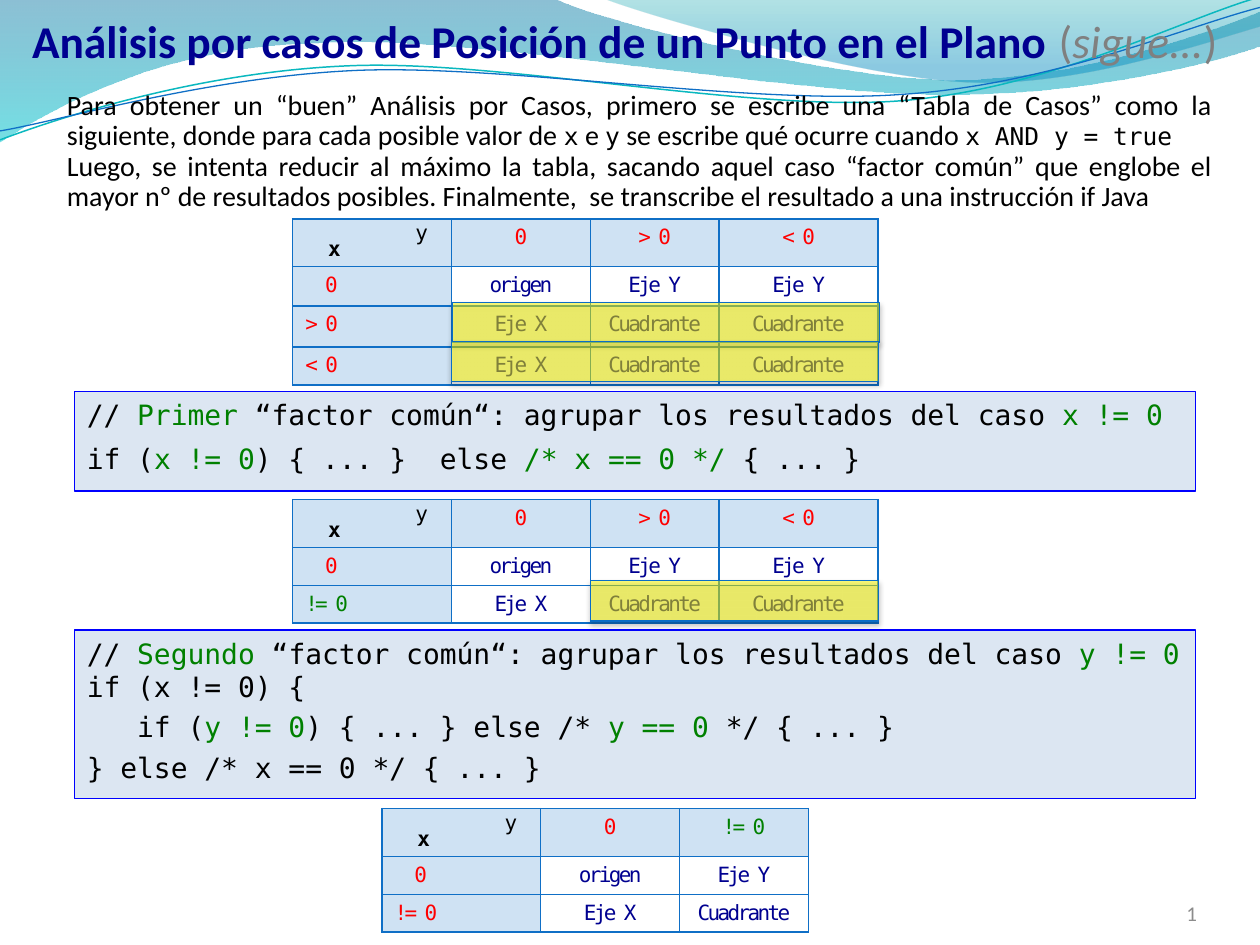
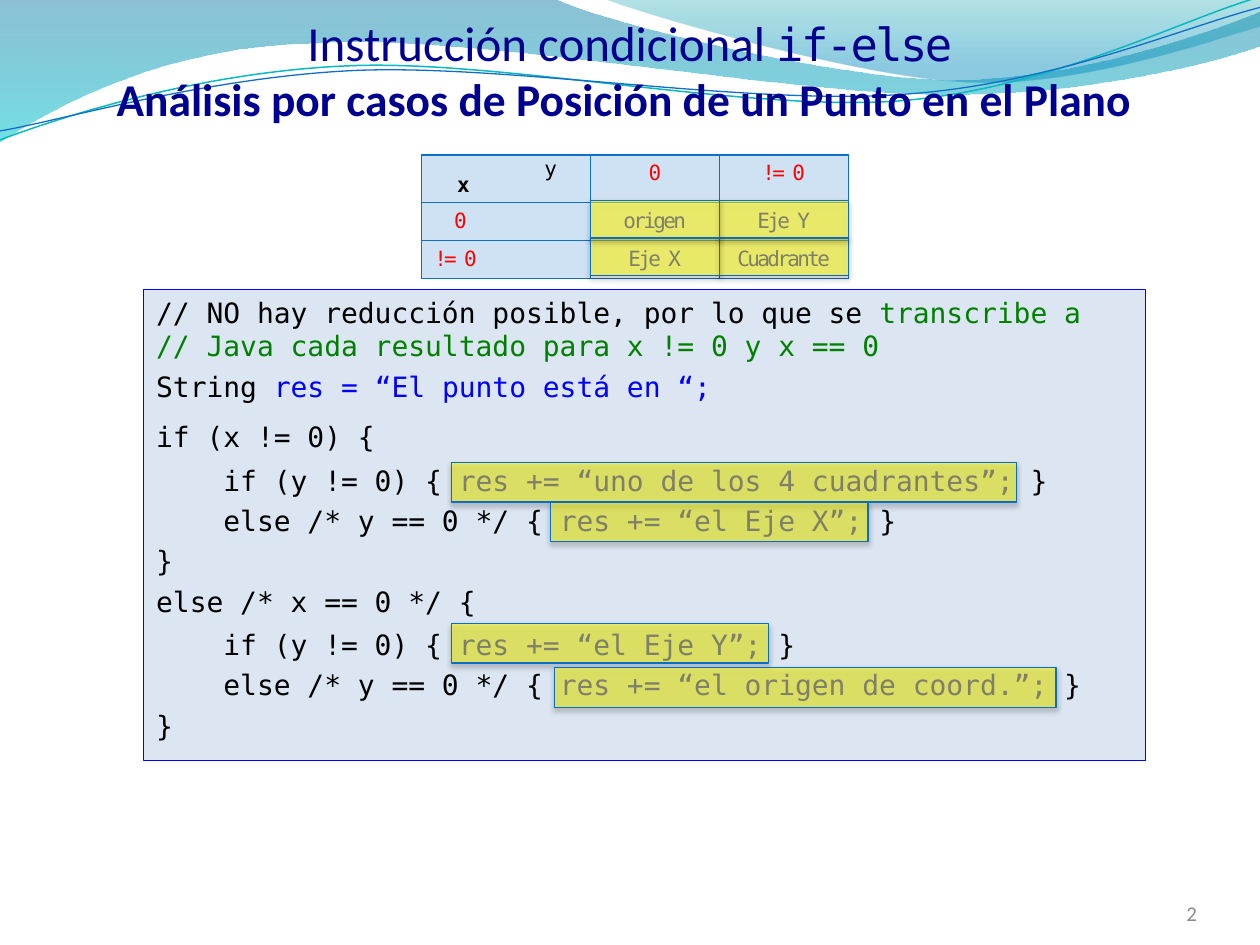
"""Build two slides on case analysis of the position of a point in the plane."""
from lxml.etree import SubElement
from pptx import Presentation
from pptx.dml.color import RGBColor
from pptx.enum.shapes import MSO_SHAPE as Shape
from pptx.enum.text import MSO_ANCHOR as Anchor, PP_ALIGN as Align
from pptx.oxml.ns import qn
from pptx.util import Cm, Pt

SANS, MONO = "Calibri", "DejaVu Sans Mono"
NAVY, BLUE, RED, GREEN = "000090", "0000FF", "FF0000", "008000"
BLACK, GREY, ACCENT = "000000", "7F7F7F", "0F6FC6"


def paint(fill, *colours, alphas=()):
    """Fill with one colour, or with a vertical gradient of two."""
    if len(colours) == 1:
        fill.solid()
        targets = [fill.fore_color]
    else:
        fill.gradient()
        fill.gradient_angle = 270
        targets = [stop.color for stop in fill.gradient_stops]
    for target, colour in zip(targets, colours):
        target.rgb = RGBColor.from_string(colour)
    for node, alpha in zip(fill._xPr.iter(qn("a:srgbClr")), alphas):
        SubElement(node, qn("a:alpha"), val=str(alpha * 1000))


def write(frame, *pieces, align=Align.LEFT, leading=1.0, indent=0, **base):
    """Add a paragraph of pieces, each a text or a (text, format) pair."""
    paragraph = frame.paragraphs[0]
    if paragraph.runs:
        paragraph = frame.add_paragraph()
    paragraph.alignment = align
    paragraph.line_spacing = leading
    if indent:
        paragraph._p.get_or_add_pPr().set("marL", str(Cm(indent)))
    for piece in pieces:
        text, changes = (piece, {}) if isinstance(piece, str) else piece
        style = {"font": SANS, "size": 16, "color": BLACK, **base, **changes}
        run = paragraph.add_run()
        run.text = text
        run.font.name = style["font"]
        run.font.size = Pt(style["size"])
        run.font.bold = style.get("bold", False)
        run.font.italic = style.get("italic", False)
        paint(run.font.fill, style["color"])
        if "spacing" in style:
            run._r.get_or_add_rPr().set("spc", str(int(style["spacing"] * 100)))


deck = Presentation()
deck.slide_width, deck.slide_height = Cm(25.4), Cm(19.05)
cases, code = [deck.slides.add_slide(deck.slide_layouts[6]) for _ in range(2)]

waves = [
    ([(0, 0), (11.18, -0.03),
      (12.09, 0.43, 16.87, 1.6, 19.25, 1.6), (21.67, 1.6, 24.33, 0.66, 25.4, 0.23),
      (25.43, 0.91), (24.97, 1.12, 22.1, 1.93, 18.95, 1.9),
      (15.8, 1.9, 9.7, 0.71, 6.53, 0.86), (3.28, 0.91, 1.17, 2.11, -0.03, 2.87), (0, 0)],
     ("0074A1", "00C6CF"), (45, 55), 1),
    ([(12.17, -0.03), (12.93, 0.28, 17.32, 1.57, 19.53, 1.65),
      (21.74, 1.75, 24.41, 0.81, 25.4, 0.53), (25.4, 0), (12.17, -0.03)],
     ("00A1A9", "008BBF"), (30, 45), 0.8),
    ([(-0.05, 2.22), (1.19, 1.82, 4.02, 1.04, 7.05, 1.06),
      (10.05, 1.07, 15.02, 2.37, 18.08, 2.29), (21.13, 2.2, 23.87, 0.91, 25.41, 0.55)],
     ("0AB8BF",), (), 0.85),
    ([(-0.04, 2.04), (1.16, 1.9, 4.18, 1.15, 7.2, 1.16),
      (10.25, 1.18, 15.11, 2.25, 18.19, 2.16), (21.21, 2.1, 23.93, 1.06, 25.45, 0.75)],
     (ACCENT,), (), 0.75),
]
titles = {}
for number, slide in enumerate((cases, code), 1):
    for segments, colours, alphas, measure in waves:
        ends = [(Cm(segment[-2]), Cm(segment[-1])) for segment in segments]
        builder = slide.shapes.build_freeform(*ends[0])
        builder.add_line_segments(ends[1:], close=bool(alphas))
        wave = builder.convert_to_shape()
        wave.shadow.inherit = False
        for piece, segment in zip(list(wave._element.iter(qn("a:lnTo"))), segments[1:]):
            if len(segment) == 6:
                piece.tag = qn("a:cubicBezTo")
                for order in (0, 1):
                    x, y = segment[2 * order:2 * order + 2]
                    piece.insert(order, SubElement(piece, qn("a:pt"), x=str(Cm(x) - wave.left),
                                                   y=str(Cm(y) - wave.top)))
        if alphas:
            paint(wave.fill, *colours, alphas=alphas)
            wave.fill.gradient_stops[1].position = measure
            wave.line.fill.background()
        else:
            wave.rotation = 357.3
            wave.fill.background()
            paint(wave.line.fill, *colours)
            wave.line.width = Pt(measure)

    page = slide.shapes.add_textbox(Cm(22.02), Cm(17.65), Cm(2.11), Cm(1.02)).text_frame
    page.margin_left = page.margin_right = page.margin_top = page.margin_bottom = 0
    page.vertical_anchor = Anchor.BOTTOM
    write(page, str(number), align=Align.RIGHT, size=12, color="8C8C8C")

    title = slide.shapes.add_textbox(0, Cm(0.13), Cm(25.4), Cm(2.21)).text_frame
    title.word_wrap = True
    titles[number] = title

topic = "Análisis por casos de Posición de un Punto en el Plano "
heading = dict(align=Align.CENTER, size=26, color=NAVY)
aside = dict(bold=False, color=GREY)
write(titles[1], topic, ("(", aside), ("sigue...", dict(aside, italic=True, color="808080")),
      (") ", aside), bold=True, **heading)
write(titles[2], ("Instrucción condicional ", dict(size=28)),
      ("if-else", dict(font=MONO, spacing=-1.5)), **heading)
write(titles[2], topic, bold=True, **heading)

green, blue = dict(color=GREEN), dict(color=BLUE)
listings = [
    (cases, (1.5, 7.89, 22.6, 2.01), [
        (1, ["// ", ("Primer ", green), "“factor común“: agrupar los resultados del caso ",
             ("x != 0", green)]),
        (1.3, ["if (", ("x != 0", green), ") { ... }  else ", ("/* x == 0 */ ", green),
               "{ ... }"]),
    ]),
    (cases, (1.5, 12.7, 22.6, 3.4), [
        (1, ["// ", ("Segundo ", green), "“factor común“: agrupar los resultados del caso ",
             ("y != 0", green)]),
        (1, ["if (x != 0) {"]),
        (1.2, ["   if (", ("y != 0", green), ") { ... } else /* ", ("y == 0 ", green),
               "*/ { ... }"]),
        (1.2, ["} else /* x == 0 */ { ... }"]),
    ]),
    (code, (2.9, 5.83, 20.19, 9.5), [
        (1, ["// NO hay reducción posible, por lo que se ", ("transcribe a", green)]),
        (1, [("// Java cada resultado para x != 0 y x == 0", green)]),
        (1.2, ["String ", ("res = “El punto está en “;", blue)]),
        (1.5, ["if (x != 0) {"]),
        (1.3, ["    if (y != 0) { ", ("res += “uno de los 4 cuadrantes”; ", blue), "}"]),
        (1.2, ["    else /* y == 0 */ { ", ("res += “el Eje X”; ", blue), "}"]),
        (1.2, ["}"]),
        (1.2, ["else /* x == 0 */ {"]),
        (1.3, ["    if (y != 0) { ", ("res += “el Eje Y”; ", blue), "}"]),
        (1.2, ["    else /* y == 0 */ { ", ("res += “el origen de coord.”; ", blue), "}"]),
        (1.2, ["}"]),
    ]),
]
for slide, place, lines in listings:
    panel = slide.shapes.add_shape(Shape.RECTANGLE, *map(Cm, place))
    panel.shadow.inherit = False
    paint(panel.fill, "DCE6F2")
    paint(panel.line.fill, BLUE)
    panel.line.width = Pt(0.75)
    panel.text_frame.word_wrap = True
    panel.text_frame.vertical_anchor = Anchor.TOP
    for leading, pieces in lines:
        write(panel.text_frame, *pieces, font=MONO, leading=leading, align=Align.JUSTIFY)

wide, narrow = [3.2, 2.8, 2.6, 3.2], [3.2, 2.8, 2.6]
on_axis = ["origen", "Eje Y", "Eje Y"]
off_axis = ["Eje X", "Cuadrante", "Cuadrante"]
signs = {"0": RED, "> 0": RED, "< 0": RED}
reduced = {"0": RED, "!= 0": RED}
latest = {"0": RED, "!= 0": GREEN}
tables = [
    (cases, 5.9, 4.41, wide, [0.94, 0.79, 0.83, 0.74], NAVY, signs, signs,
     [on_axis, off_axis, off_axis]),
    (cases, 5.9, 10.07, wide, [0.94, 0.74, 0.74], NAVY, signs, latest, [on_axis, off_axis]),
    (cases, 7.7, 16.3, narrow, [0.94, 0.74, 0.76], NAVY, latest, reduced,
     [on_axis[:2], off_axis[:2]]),
    (code, 8.5, 3.12, [3.4, 2.6, 2.6], [0.94, 0.74, 0.76], BLUE, reduced, reduced,
     [on_axis[:2], off_axis[:2]]),
]
for slide, left, top, widths, heights, ink, y_cases, x_cases, results in tables:
    grid = slide.shapes.add_table(len(heights), len(widths), Cm(left), Cm(top),
                                  Cm(sum(widths)), Cm(sum(heights))).table
    grid.first_row = grid.horz_banding = False
    for column, width in zip(grid.columns, widths):
        column.width = Cm(width)
    for row, height in zip(grid.rows, heights):
        row.height = Cm(height)

    mono = dict(font=MONO, size=12, spacing=-1.5)
    corner = grid.cell(0, 0).text_frame
    write(corner, "y", leading=0.8, indent=2.22, **mono)
    write(corner, "x", leading=0.6, indent=0.46, bold=True, **mono)
    for c, (label, colour) in enumerate(y_cases.items(), 1):
        write(grid.cell(0, c).text_frame, label, align=Align.CENTER, color=colour, **mono)
    for r, ((label, colour), row) in enumerate(zip(x_cases.items(), results), 1):
        write(grid.cell(r, 0).text_frame, label, color=colour,
              indent=0.4 if label == "0" else 0, **mono)
        for c, result in enumerate(row, 1):
            write(grid.cell(r, c).text_frame, result, align=Align.CENTER, color=ink, **mono)

    for r in range(len(heights)):
        for c in range(len(widths)):
            cell = grid.cell(r, c)
            if r == 0 or c == 0:
                paint(cell.fill, ACCENT, alphas=[20])
            else:
                cell.fill.background()
            properties = cell._tc.get_or_add_tcPr()
            for order, side in enumerate("LRTB"):
                border = SubElement(properties, qn(f"a:ln{side}"), w=str(Pt(1)))
                SubElement(SubElement(border, qn("a:solidFill")), qn("a:srgbClr"), val=ACCENT)
                properties.insert(order, border)

highlights = [
    (cases, 9.12, 6.1, 8.61, 0.81),
    (cases, 9.1, 6.89, 8.61, 0.8),
    (cases, 11.91, 11.71, 5.8, 0.81),
    (code, 9.1, 9.32, 11.4, 0.8),
    (code, 11.1, 10.13, 6.4, 0.79),
    (code, 9.1, 12.57, 6.4, 0.8),
    (code, 11.18, 13.46, 10.11, 0.8),
]
highlights += [(code, 11.9 + 2.6 * c, 4.04 + 0.75 * r, 2.6, 0.76)
               for r in (1, 0) for c in (1, 0)]
for slide, *place in highlights:
    marker = slide.shapes.add_shape(Shape.RECTANGLE, *map(Cm, place))
    paint(marker.fill, "FFFF00", alphas=[50])
    paint(marker.line.fill, "0A6DC6")
    marker.line.width = Pt(0.75)
    marker.shadow.inherit = False
    shade = SubElement(marker._element.spPr.find(qn("a:effectLst")), qn("a:outerShdw"),
                       blurRad=str(Pt(3.1)), dist=str(Pt(1.8)), dir="5400000", rotWithShape="0")
    SubElement(SubElement(shade, qn("a:srgbClr"), val=BLACK), qn("a:alpha"), val="35000")

advice = cases.shapes.add_textbox(Cm(1.1), Cm(1.72), Cm(23.6), Cm(2.59)).text_frame
advice.word_wrap = True
term = dict(font=MONO, size=14)
justified = dict(align=Align.JUSTIFY, leading=0.9)
write(advice, "Para obtener un “buen” Análisis por Casos, primero se escribe una “Tabla de "
      "Casos” como la siguiente, donde para cada posible valor de ", ("x", term), " e ",
      ("y", term), " se escribe qué ocurre cuando ", ("x AND y = true", term), **justified)
write(advice, "Luego, se intenta reducir al máximo la tabla, sacando aquel caso “factor común” "
      "que englobe el mayor nº de resultados posibles. Finalmente,  se transcribe el resultado "
      "a una instrucción if Java", **justified)

deck.save("out.pptx")
